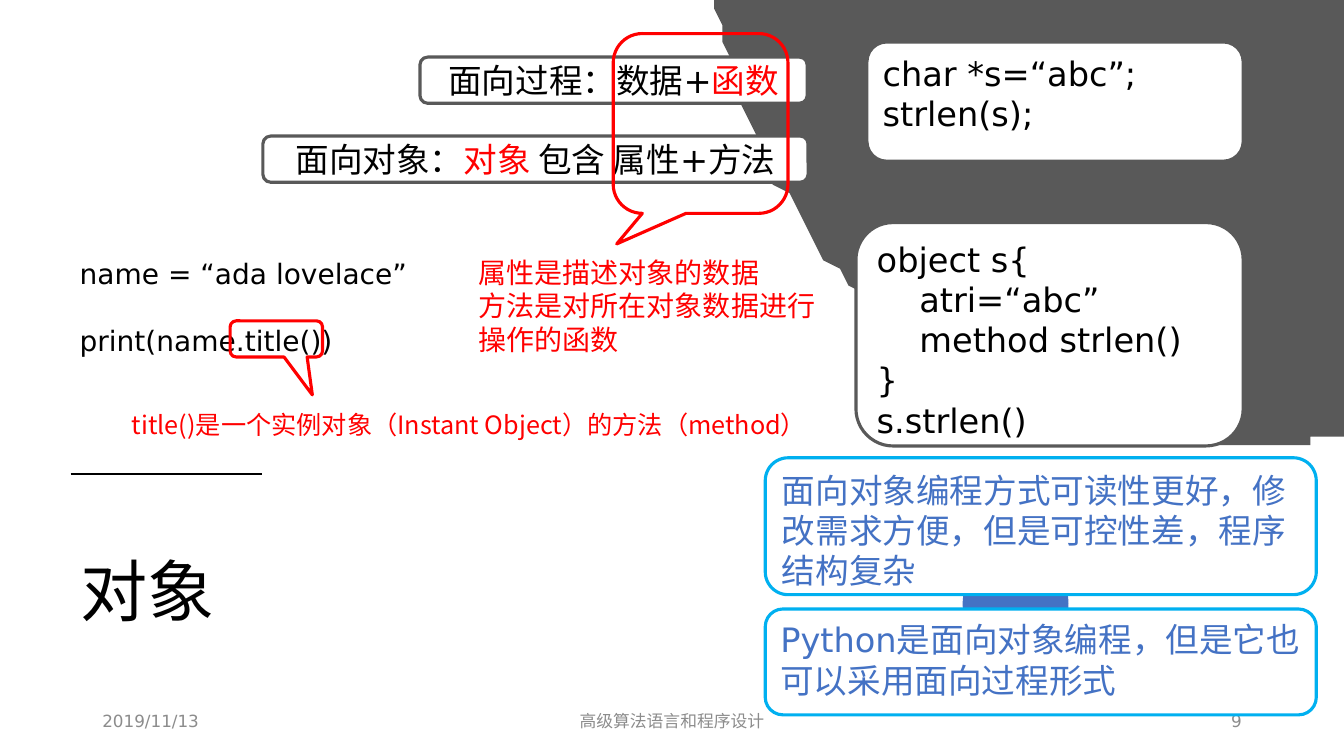
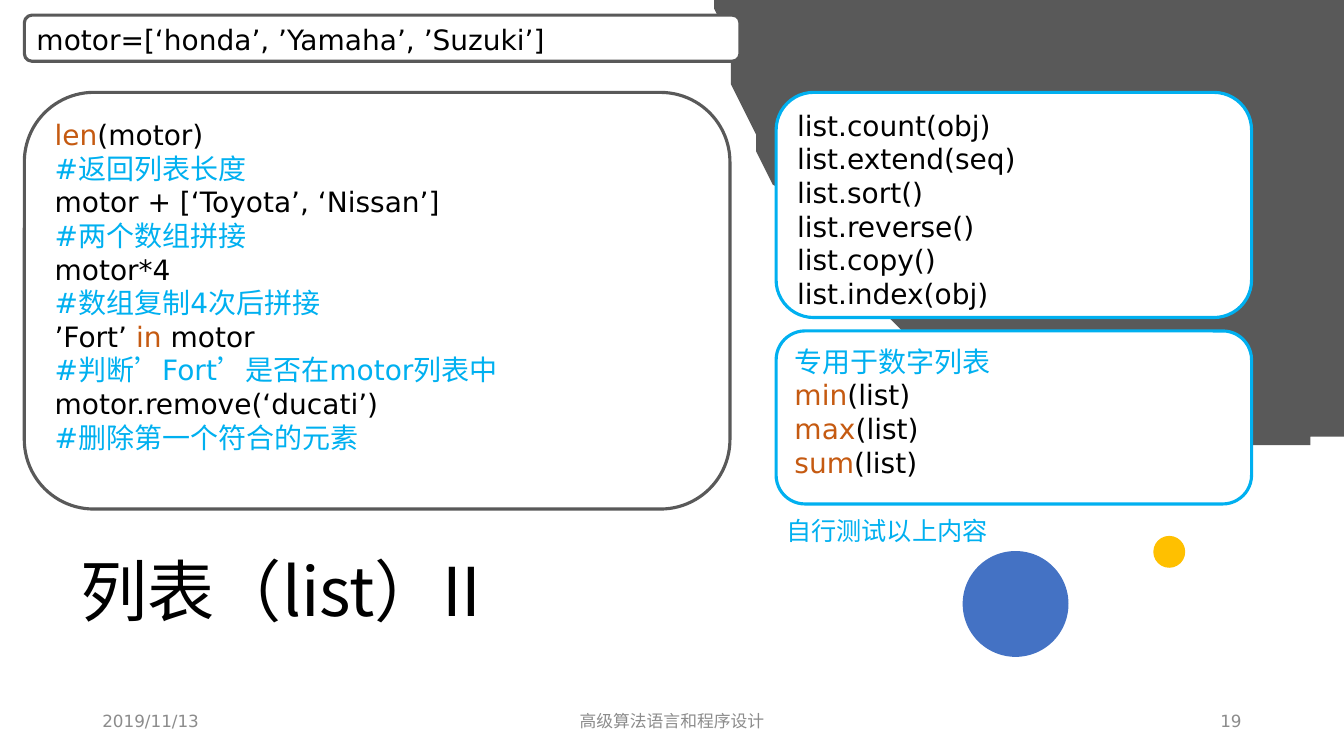
from lxml import etree
from pptx import Presentation
from pptx.dml.color import RGBColor
from pptx.enum.shapes import MSO_CONNECTOR, MSO_SHAPE
from pptx.enum.text import MSO_ANCHOR, PP_ALIGN
from pptx.oxml.ns import qn
from pptx.util import Inches, Pt

ROUND, OVAL = MSO_SHAPE.ROUNDED_RECTANGLE, MSO_SHAPE.OVAL
CALLOUT = MSO_SHAPE.ROUNDED_RECTANGULAR_CALLOUT
TOP, MIDDLE = MSO_ANCHOR.TOP, MSO_ANCHOR.MIDDLE
LEFT, CENTER, RIGHT = PP_ALIGN.LEFT, PP_ALIGN.CENTER, PP_ALIGN.RIGHT
SANS, CJK = "DejaVu Sans", "Noto Sans CJK SC"
C = {"black": "000000", "white": "FFFFFF", "dark": "595959", "gray": "8C8C8C",
     "blue": "4472C4", "gold": "FFC000", "red": "FF0000", "cyan": "00B0F0",
     "orange": "C55A11"}

prs = Presentation()
prs.slide_width, prs.slide_height = Inches(13.333), Inches(7.5)

# Grid of 160 columns by 90 rows, with square cells
CELL = prs.slide_height / 90


def add(s, kind, box, fill=None, line=None):
    """Add a preset shape, or a text box when kind is None; box is in cells."""
    pos = [round(v * CELL) for v in box]
    if kind is None:
        return s.shapes.add_textbox(*pos)
    sp = s.shapes.add_shape(kind, *pos)
    sp.shadow.inherit = False
    if fill:
        sp.fill.solid()
        sp.fill.fore_color.rgb = RGBColor.from_string(C[fill])
    else:
        sp.fill.background()
    if line:
        sp.line.color.rgb = RGBColor.from_string(C[line])
        sp.line.width = Pt(2.25)
    else:
        sp.line.fill.background()
    return sp


def write(sp, paragraphs, size, color="black", font=SANS, anchor=TOP, align=LEFT):
    """A paragraph is a string, or a list of (text, colour) runs."""
    tf = sp.text_frame
    tf.word_wrap = True
    tf.vertical_anchor = anchor
    for i, runs in enumerate(paragraphs):
        if isinstance(runs, str):
            runs = [(runs, color)]
        p = tf.add_paragraph() if i else tf.paragraphs[0]
        p.alignment = align
        for text, run_color in runs:
            r = p.add_run()
            r.text = text
            r.font.size, r.font.name = Pt(size), font
            r.font.color.rgb = RGBColor.from_string(C[run_color])
    return tf


# Outline of the dark disc in the top right corner, its curves as short chords
CURVES = [[(157.7, 52.2), (154.1, 52.9), (150.2, 53.3), (146.4, 53.3)],
          [(146.4, 53.3), (115.4, 53.3), (89.9, 30.6), (85.3, 0.8)]]
STEPS = 40
disc = [(160, 0), (160, 51.7), (157.7, 52.2)]
for curve in CURVES:
    for t in [n / STEPS for n in range(1, STEPS + 1)]:
        weights = ((1 - t) ** 3, 3 * t * (1 - t) ** 2, 3 * t * t * (1 - t), t ** 3)
        disc.append(tuple(sum(w * pt[k] for w, pt in zip(weights, curve))
                          for k in (0, 1)))

# Shared parts: title, disc, blue dot, footer
slides = []
for title, number in [("对象", "9"), ("列表（list）II", "19")]:
    s = prs.slides.add_slide(prs.slide_layouts[6])
    slides.append(s)
    tf = write(add(s, None, (8.4, 59.4, 97.2, 22.8)), [title], 48,
               font=CJK, anchor=MIDDLE)
    tf.paragraphs[0].line_spacing = 0.9
    fb = s.shapes.build_freeform(85.2, 0, scale=CELL)
    fb.add_line_segments(disc, close=True)
    sp = fb.convert_to_shape()
    sp.shadow.inherit = False
    sp.fill.solid()
    sp.fill.fore_color.rgb = RGBColor.from_string(C["dark"])
    sp.line.fill.background()
    add(s, OVAL, (114.6, 65.6, 12.6, 12.6), "blue")
    for text, left, width, align in [("2019/11/13", 11, 36, LEFT),
                                     ("高级算法语言和程序设计", 53, 54, CENTER),
                                     (number, 113, 36, RIGHT)]:
        write(add(s, None, (left, 83.4, width, 4.8)), [text], 12, "gray",
              anchor=MIDDLE, align=align)
objects, lists = slides

# Objects: rule above the title
rule = objects.shapes.add_connector(
    MSO_CONNECTOR.STRAIGHT, *[round(v * CELL) for v in (8.4, 56.4, 31.2, 56.4)])
rule.line.color.rgb = RGBColor.from_string(C["black"])
rule.line.width = Pt(1.5)
etree.SubElement(rule.line._get_or_add_ln().getparent(), qn("a:effectLst"))

# Objects: code sample and the notes in red
tf = write(add(objects, None, (8.3, 29.9, 58.4, 17.4)),
           ["name = “ada lovelace”", "print(name.title())"], 20)
tf.paragraphs[1].space_before = Pt(24)
write(add(objects, None, (14.5, 48.2, 84.4, 4.8)),
      ["title()是一个实例对象（Instant Object）的方法（method）"], 18, "red", CJK)
write(add(objects, None, (55.8, 29.8, 42.8, 13.3)),
      ["属性是描述对象的数据", "方法是对所在对象数据进行操作的函数"], 20, "red", CJK)

# Objects: the two programming styles
for left, top, width, runs in [
        (50, 6.8, 46.1, [("面向过程：数据+", "black"), ("函数", "red")]),
        (31.3, 16.2, 64.9, [("面向对象：", "black"), ("对象 ", "red"),
                            ("包含 属性+方法", "black")])]:
    write(add(objects, ROUND, (left, top, width, 5.5), "white", "dark"), [runs], 24,
          anchor=MIDDLE, align=CENTER)

# Objects: callouts
for box, tip in [((27.4, 38.2, 11, 4.3), (0.39, 1.55)),
                 ((73, 4, 20.8, 21.4), (-0.48, 0.67))]:
    sp = add(objects, CALLOUT, box, line="red")
    sp.adjustments[0], sp.adjustments[1] = tip

# Objects: code cards and conclusions
for box, line, color, paragraphs in [
        ((103.2, 5, 44.8, 14.2), "dark", "black", ["char *s=“abc”;", "strlen(s);"]),
        ((101.9, 26.5, 46.1, 26.6), "dark", "black",
         ["object s{", "    atri=“abc”", "    method strlen()", "}", "s.strlen()"]),
        ((91.1, 54.5, 65.6, 16.3), "cyan", "blue",
         ["面向对象编程方式可读性更好，修改需求方便，但是可控性差，程序结构复杂"]),
        ((91.1, 72.5, 65.6, 12.6), "cyan", "blue",
         ["Python是面向对象编程，但是它也可以采用面向过程形式"])]:
    write(add(objects, ROUND, box, "white", line), paragraphs, 24, color)

# Lists: code cards
operations = [
    [("len", "orange"), ("(motor)", "black")],
    [("#返回列表长度", "cyan")],
    "motor + [‘Toyota’, ‘Nissan’]",
    [("#两个数组拼接", "cyan")],
    "motor*4",
    [("#数组复制4次后拼接", "cyan")],
    [("’Fort’ ", "black"), ("in", "orange"), (" motor", "black")],
    [("#判断’Fort’是否在motor列表中", "cyan")],
    "motor.remove(‘ducati’)",
    [("#删除第一个符合的元素", "cyan")]]
methods = [f"list.{call}" for call in ("count(obj)", "extend(seq)", "sort()",
                                       "reverse()", "copy()", "index(obj)")]
numeric = [[("专用于数字列表", "cyan")]] + [
    [(name, "orange"), ("(list)", "black")] for name in ("min", "max", "sum")]
for box, line, paragraphs in [
        ((2.9, 1.8, 85.2, 5.5), "dark", ["motor=[‘honda’, ’Yamaha’, ’Suzuki’]"]),
        ((2.9, 11, 84, 49.6), "dark", operations),
        ((92.4, 11, 56.6, 26.8), "cyan", methods),
        ((92.4, 39.4, 56.6, 20.6), "cyan", numeric)]:
    write(add(lists, ROUND, box, "white", line), paragraphs, 20)

# Lists: gold dot and closing note
add(lists, OVAL, (137.3, 63.8, 3.8, 3.8), "gold")
write(add(lists, None, (92.4, 60.8, 27.2, 4.8)), ["自行测试以上内容"], 18, "cyan")

prs.save("out.pptx")
